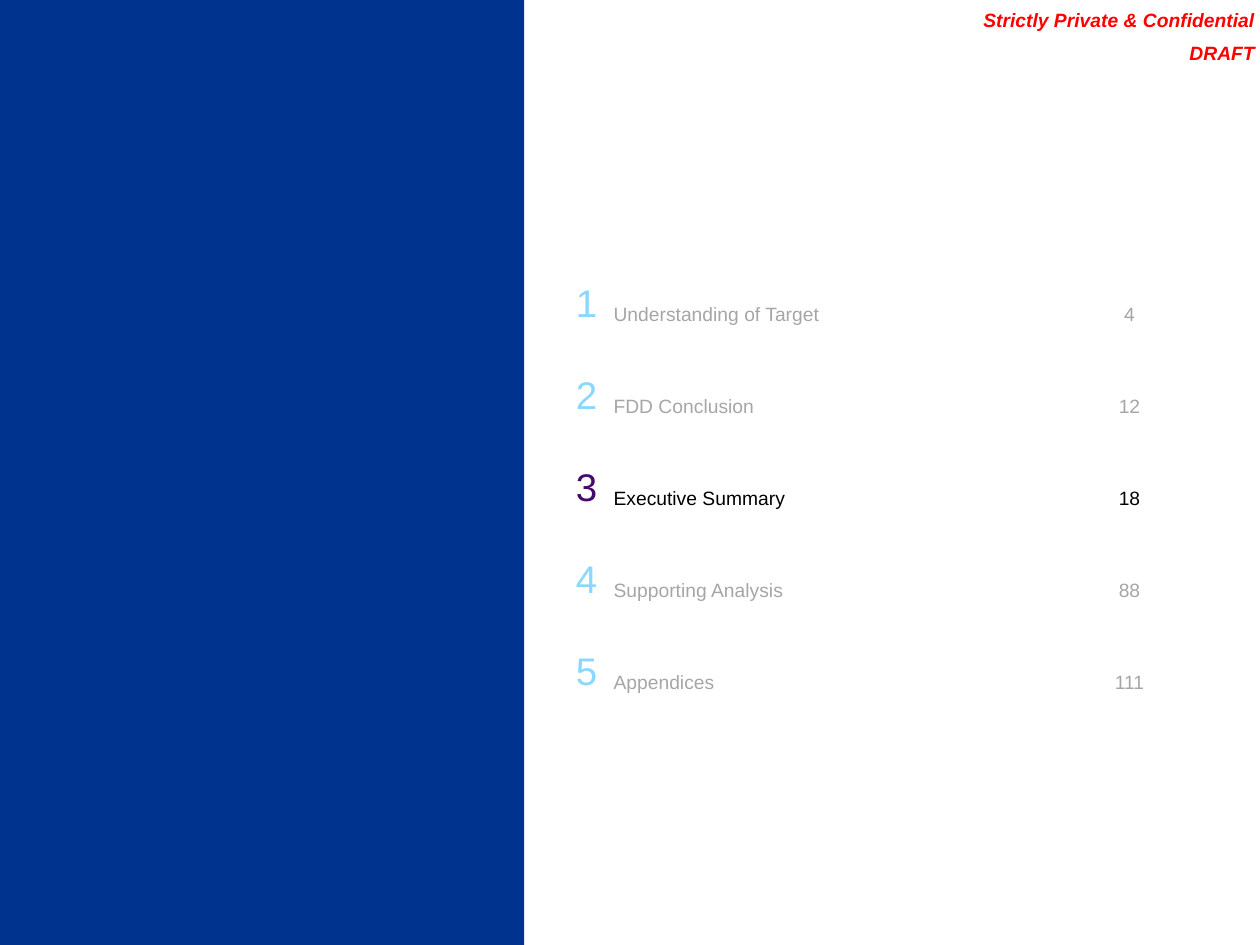
from dataclasses import dataclass

from pptx import Presentation
from pptx.dml.color import RGBColor
from pptx.enum.shapes import MSO_SHAPE
from pptx.enum.text import MSO_ANCHOR, PP_ALIGN
from pptx.util import Inches, Pt

LEFT, CENTER, RIGHT = PP_ALIGN.LEFT, PP_ALIGN.CENTER, PP_ALIGN.RIGHT
MIDDLE, BOTTOM = MSO_ANCHOR.MIDDLE, MSO_ANCHOR.BOTTOM
RECTANGLE = MSO_SHAPE.RECTANGLE

SLIDE_WIDTH, SLIDE_HEIGHT = Inches(10), Inches(7.5)
PANEL_SHARE = 0.416
NOTICE_SHARE = 0.25

COLUMN_WIDTHS = (0.52, 3.89, 0.49)
ROW_HEIGHT = 0.73
COLUMN_ALIGNMENTS = (RIGHT, LEFT, CENTER)
# Left, top, right and bottom margins of each column's cells.
COLUMN_MARGINS = (
    (0.09, 0.05, 0.09, 0.05),
    (0.04, 0.22, 0, 0.05),
    (0.09, 0.22, 0.09, 0.05),
)

SECTIONS = (
    ("Understanding of Target", 4),
    ("FDD Conclusion", 12),
    ("Executive Summary", 18),
    ("Supporting Analysis", 88),
    ("Appendices", 111),
)
CURRENT_SECTION = 3


@dataclass(frozen=True)
class Theme:
    font: str = "Arial"
    panel: str = "00338D"
    notice: str = "FF0000"
    number: str = "8AD8FF"
    current_number: str = "470A68"
    entry: str = "A6A6A6"
    current_entry: str = "000000"
    number_size: float = 22
    body_size: float = 11


THEME = Theme()


def write_text(frame, text, *, color, size=THEME.body_size, align=LEFT,
               bold=False, italic=False, gap=0):
    """Write one paragraph per line of text, with gap points between them."""
    for index, line in enumerate(text.split("\n")):
        para = frame.add_paragraph() if index else frame.paragraphs[0]
        para.alignment = align
        if index:
            para.space_before = Pt(gap)
        span = para.add_run()
        span.text = line
        span.font.name = THEME.font
        span.font.size = Pt(size)
        span.font.bold = bold
        span.font.italic = italic
        span.font.color.rgb = RGBColor.from_string(color)


def set_margins(holder, left, top, right, bottom):
    holder.margin_left, holder.margin_top = Inches(left), Inches(top)
    holder.margin_right, holder.margin_bottom = Inches(right), Inches(bottom)


def add_side_panel(page):
    panel = page.shapes.add_shape(
        RECTANGLE, 0, 0, int(SLIDE_WIDTH * PANEL_SHARE), SLIDE_HEIGHT)
    panel.shadow.inherit = False
    panel.fill.solid()
    panel.fill.fore_color.rgb = RGBColor.from_string(THEME.panel)
    panel.line.fill.background()


def add_notice(page, text):
    width = int(SLIDE_WIDTH * NOTICE_SHARE)
    box = page.shapes.add_textbox(SLIDE_WIDTH - width, 0, width, Inches(0.55))
    frame = box.text_frame
    frame.word_wrap = True
    frame.vertical_anchor = BOTTOM
    set_margins(frame, 0, 0.04, 0.04, 0.04)
    write_text(frame, text, color=THEME.notice, align=RIGHT,
               bold=True, italic=True, gap=THEME.body_size / 2)


def add_contents(page):
    table = page.shapes.add_table(
        len(SECTIONS), len(COLUMN_WIDTHS), Inches(4.31), Inches(2.05),
        Inches(sum(COLUMN_WIDTHS)), Inches(ROW_HEIGHT * len(SECTIONS))).table
    table.first_row = False
    table.horz_banding = False
    for column, width in zip(table.columns, COLUMN_WIDTHS):
        column.width = Inches(width)

    for number, (title, page_number) in enumerate(SECTIONS, start=1):
        row = table.rows[number - 1]
        row.height = Inches(ROW_HEIGHT)
        current = number == CURRENT_SECTION
        number_color = THEME.current_number if current else THEME.number
        entry_color = THEME.current_entry if current else THEME.entry
        entries = (
            (number, number_color, THEME.number_size),
            (title, entry_color, THEME.body_size),
            (page_number, entry_color, THEME.body_size),
        )
        for cell, (value, color, size), align, margins in zip(
                row.cells, entries, COLUMN_ALIGNMENTS, COLUMN_MARGINS):
            cell.fill.background()
            cell.vertical_anchor = MIDDLE
            set_margins(cell, *margins)
            write_text(cell.text_frame, str(value), color=color, size=size,
                       align=align)


def main():
    deck = Presentation()
    deck.slide_width, deck.slide_height = SLIDE_WIDTH, SLIDE_HEIGHT
    page = deck.slides.add_slide(deck.slide_layouts[6])
    add_side_panel(page)
    add_notice(page, "Strictly Private & Confidential\nDRAFT")
    add_contents(page)
    deck.save("out.pptx")


if __name__ == "__main__":
    main()
